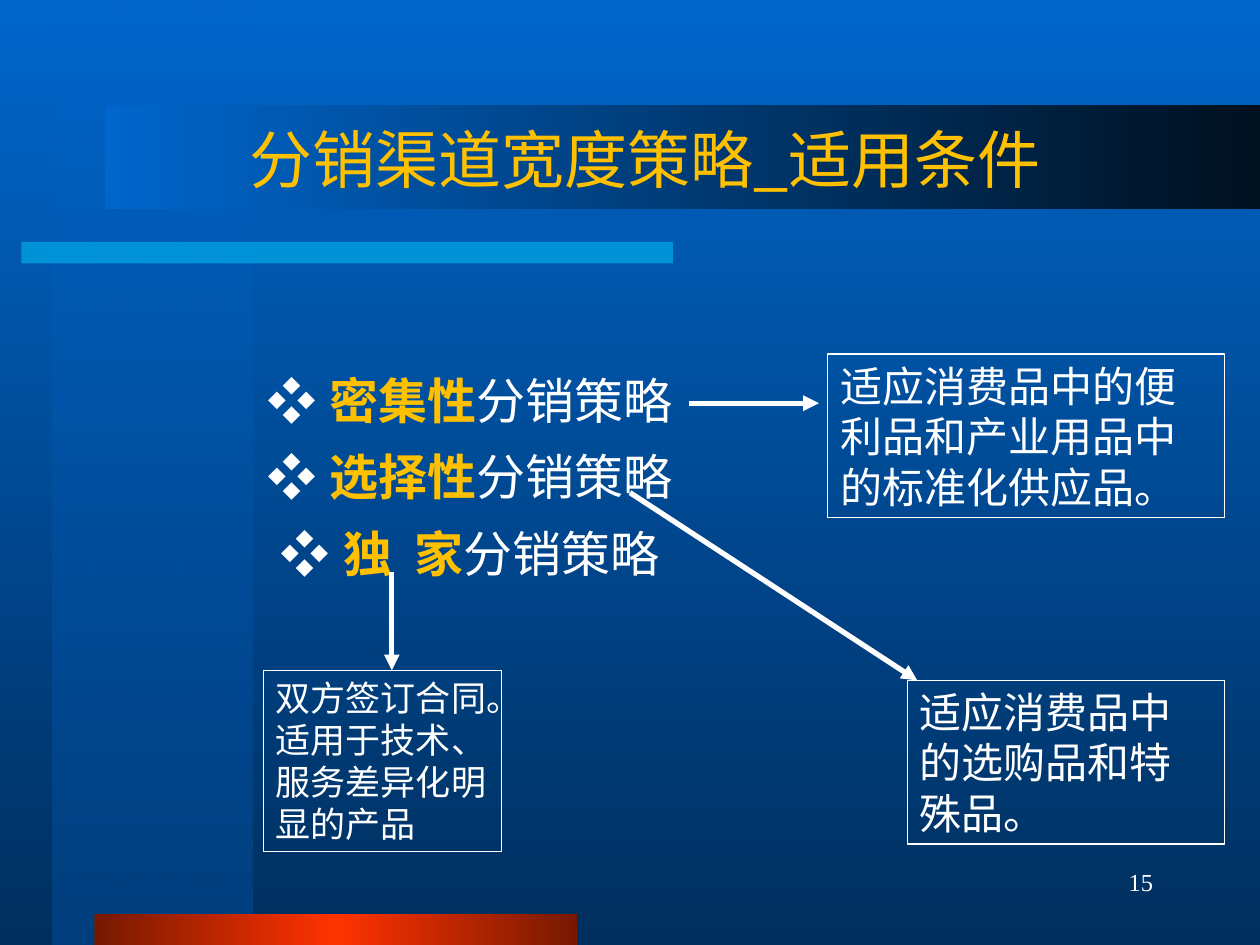
from dataclasses import dataclass

from lxml.etree import SubElement as Sub
from pptx import Presentation
from pptx.dml.color import RGBColor as RGB
from pptx.enum.shapes import MSO_CONNECTOR as Conn, MSO_SHAPE as Form
from pptx.enum.text import MSO_ANCHOR as Anchor, MSO_AUTO_SIZE as Fit, PP_ALIGN as Align
from pptx.oxml.ns import qn
from pptx.util import Inches, Pt


@dataclass(frozen=True)
class Theme:
    white: str = "FFFFFF"
    gold: str = "FFC000"
    sky: str = "00CCFF"
    blue: str = "0066CC"
    navy: str = "002F5E"
    deep: str = "003F7E"
    night: str = "00101F"
    red: str = "FF3300"
    rust: str = "761800"
    title: int = 36
    body: int = 28
    note: int = 24
    small: int = 20
    page: int = 14
    thin: float = 0.75
    thick: float = 3
    cjk: str = "Noto Sans CJK SC"
    sans: str = "Arial"
    serif: str = "Times New Roman"
    soft: str = "Cabin"
    plain: str = "DejaVu Sans"


def put(obj, vals):
    for key, val in vals.items():
        setattr(obj, key, val)


def fade(node, alpha):
    Sub(node, qn("a:alpha"), val=str(alpha * 1000))


def blend(fill, root, stops, angle):
    """Fill with stops of (percent, colour, opacity); angle runs clockwise."""
    fill.gradient()
    fill.gradient_angle = -angle % 360
    rail = root.find(".//" + qn("a:gsLst"))
    for old in list(rail):
        rail.remove(old)
    for pos, color, alpha in stops:
        stop = Sub(rail, qn("a:gs"), pos=str(pos * 1000))
        tint = Sub(stop, qn("a:srgbClr"), val=color)
        if alpha < 100:
            fade(tint, alpha)


class Deck:
    def __init__(self, theme):
        self.theme = theme
        self.prs = Presentation()
        put(self.prs, {"slide_width": Inches(10), "slide_height": Inches(7.5)})
        self.slide = self.prs.slides.add_slide(self.prs.slide_layouts[6])

    def ground(self, stops, angle):
        blend(self.slide.background.fill, self.slide.element, stops, angle)

    def rect(self, box):
        shape = self.slide.shapes.add_shape(Form.RECTANGLE, *map(Inches, box))
        shape.shadow.inherit = False
        shape.line.fill.background()
        return shape

    def band(self, box, stops, angle):
        shape = self.rect(box)
        blend(shape.fill, shape.element, stops, angle)

    def bar(self, box, color, alpha):
        shape = self.rect(box)
        shape.fill.solid()
        shape.fill.fore_color.rgb = RGB.from_string(color)
        fade(shape.element.spPr.find(".//" + qn("a:srgbClr")), alpha)

    def letter(self, shape, paras, size, form=None, frame=None):
        """Set paragraphs, each a list of (text, font, colour, bold)."""
        text = shape.text_frame
        put(text, {"word_wrap": True, "auto_size": Fit.SHAPE_TO_FIT_TEXT,
                   "vertical_anchor": Anchor.TOP, **(frame or {})})
        for i, runs in enumerate(paras):
            para = text.add_paragraph() if i else text.paragraphs[0]
            put(para, {"alignment": Align.LEFT, **(form or {})})
            for words, face, color, bold in runs:
                run = para.add_run()
                run.text = words
                put(run.font, {"name": face, "size": Pt(size), "bold": bold})
                run.font.color.rgb = RGB.from_string(color)
                east = self.theme.soft if face == self.theme.cjk else face
                Sub(run.font._element, qn("a:ea"), typeface=east)

    def label(self, box, *args):
        self.letter(self.slide.shapes.add_textbox(*map(Inches, box)), *args)

    def note(self, box, words, face, size, gap):
        shape = self.rect(box)
        shape.fill.background()
        shape.line.color.rgb = RGB.from_string(self.theme.white)
        shape.line.width = Pt(self.theme.thin)
        self.letter(shape, [[(words, face, self.theme.white, False)]], size,
                    {"space_before": Pt(gap)})

    def arrow(self, start, end):
        line = self.slide.shapes.add_connector(Conn.STRAIGHT, *map(Inches, start + end))
        line.line.color.rgb = RGB.from_string(self.theme.white)
        line.line.width = Pt(self.theme.thick)
        Sub(line.line._get_or_add_ln(), qn("a:tailEnd"), type="triangle")
        Sub(line._element.spPr, qn("a:effectLst"))


def main():
    th = Theme()
    deck = Deck(th)

    deck.ground([(0, th.blue, 100), (100, th.navy, 100)], 90)
    deck.band((0.42, 0, 1.58, 7.5), [(0, th.blue, 50), (100, th.deep, 100)], 90)
    deck.bar((0.17, 1.92, 5.17, 0.17), th.sky, 50)
    deck.band((0.75, 7.25, 3.83, 0.25),
              [(0, th.rust, 100), (50, th.red, 100), (100, th.rust, 100)], 0)
    deck.band((0.83, 0.83, 9.17, 0.83), [(0, th.blue, 100), (100, th.night, 100)], 0)

    deck.label((7.17, 6.75, 2.08, 0.5), [[("15", th.serif, th.white, False)]], th.page,
               {"alignment": Align.RIGHT},
               {"word_wrap": False, "auto_size": Fit.NONE, "vertical_anchor": Anchor.MIDDLE})

    kinds = ["密集性", "选择性", "独  家"]
    items = [[("❖ ", th.sans, th.white, False),
              (kind, th.cjk, th.gold, True),
              ("分销策略", th.cjk, th.white, False)] for kind in kinds]
    deck.label((1.83, 2.75, 3.8, 1.92), items, th.body,
               {"alignment": Align.CENTER, "line_spacing": 1.3})

    deck.note((2.09, 5.32, 1.89, 1.44), "双方签订合同。适用于技术、服务差异化明显的产品",
              th.plain, th.small, 12.5)
    for start, end in [((5.47, 3.2), (6.5, 3.2)),
                       ((5, 3.91), (7.28, 5.4)),
                       ((3.11, 4.54), (3.11, 5.32))]:
        deck.arrow(start, end)
    deck.note((6.57, 2.81, 3.15, 1.3), "适应消费品中的便利品和产业用品中的标准化供应品。",
              th.soft, th.note, 15)
    deck.note((7.2, 5.4, 2.52, 1.3), "适应消费品中的选购品和特殊品。",
              th.soft, th.note, 15)

    deck.label((1.3, 0.91, 7.64, 1.3),
               [[("分销渠道宽度策略_适用条件", th.cjk, th.gold, False)]], th.title,
               {"alignment": Align.CENTER})

    deck.prs.save("out.pptx")


if __name__ == "__main__":
    main()
